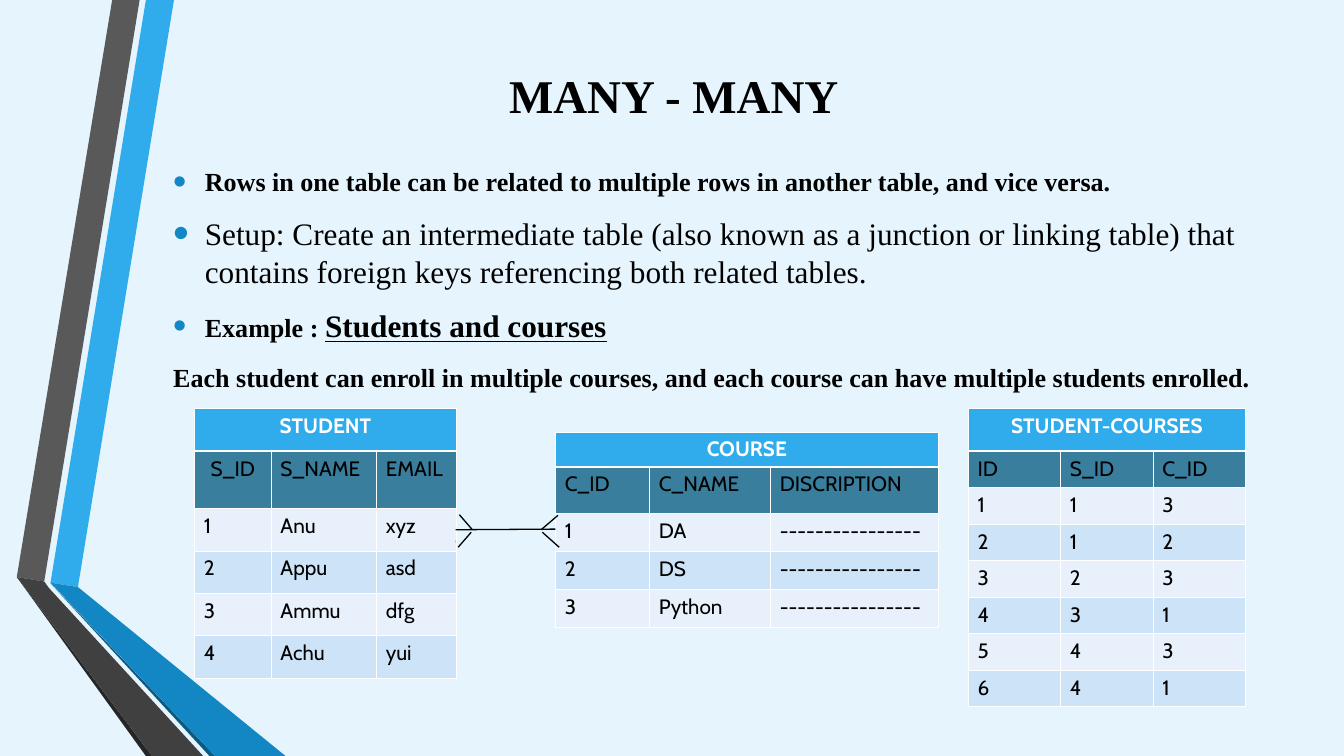
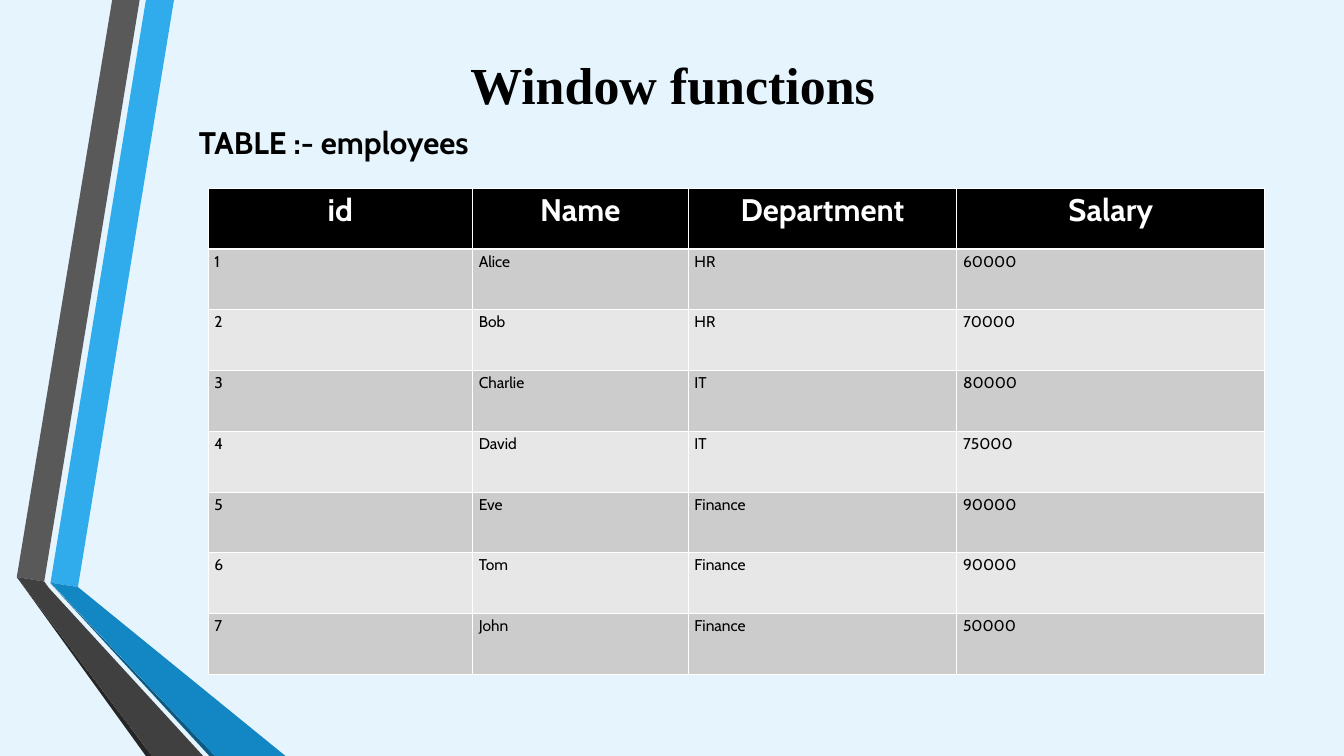
from lxml.etree import SubElement
from pptx import Presentation
from pptx.dml.color import RGBColor as RGB
from pptx.enum.shapes import MSO_CONNECTOR as CONN
from pptx.enum.text import MSO_ANCHOR as ANCHOR, PP_ALIGN as ALIGN
from pptx.oxml.ns import qn
from pptx.util import Pt

BLACK = RGB(0x00, 0x00, 0x00)
WHITE = RGB(0xFF, 0xFF, 0xFF)
PALE = RGB(0xE6, 0xF5, 0xFD)
SKY = RGB(0x30, 0xAC, 0xEC)
BLUE = RGB(0x12, 0x87, 0xC3)
NAVY = RGB(0x0C, 0x5A, 0x82)
TEAL = RGB(0x39, 0x7E, 0x9D)
ICE = RGB(0xE8, 0xF1, 0xFB)
MIST = RGB(0xCD, 0xE3, 0xF8)
TICK = RGB(0xAE, 0xD2, 0xF4)
GRAY = RGB(0x59, 0x59, 0x59)
DARK_GRAY = RGB(0x40, 0x40, 0x40)
CHARCOAL = RGB(0x26, 0x26, 0x26)
SILVER = RGB(0xCC, 0xCC, 0xCC)
LIGHT_GRAY = RGB(0xE7, 0xE7, 0xE7)

SERIF = "Times New Roman"
SANS = "Cabin"
WIDTH, HEIGHT = 1552.3, 873.4

BANDS = [
    (SKY, [(58.3, 673.2), (90, 678.2), (200.9, 0), (168.5, 0)]),
    (GRAY, [(161.3, 0), (129.6, 0), (19.4, 666.7), (51.1, 671.8)]),
    (CHARCOAL, [(19.4, 666.7), (168.5, HEIGHT), (175.7, HEIGHT)]),
    (NAVY, [(58.3, 673.9), (241.9, HEIGHT), (248.4, HEIGHT)]),
    (BLUE, [(58.3, 673.2), (248.4, HEIGHT), (329.8, HEIGHT), (90, 678.2)]),
    (DARK_GRAY, [(234.7, HEIGHT), (56.2, 679), (51.1, 671.8),
                 (19.4, 666.7), (175.7, HEIGHT)]),
]


class Deck:
    def __init__(self):
        self.prs = Presentation()
        self.prs.slide_width = Pt(WIDTH)
        self.prs.slide_height = Pt(HEIGHT)
        fill = self.prs.slide_master.background.fill
        fill.solid()
        fill.fore_color.rgb = PALE
        self.s = None

    def slide(self):
        self.s = self.prs.slides.add_slide(self.prs.slide_layouts[6])
        for color, points in BANDS:
            self.band(color, points)

    def band(self, color, points):
        start, *rest = [(Pt(x), Pt(y)) for x, y in points]
        fb = self.s.shapes.build_freeform(*start)
        fb.add_line_segments(rest, close=True)
        sp = fb.convert_to_shape()
        sp.shadow.inherit = False
        sp.fill.solid()
        sp.fill.fore_color.rgb = color
        sp.line.fill.background()

    def style(self, r, size, font, color=BLACK, bold=False, underline=False):
        r.font.size = Pt(size)
        r.font.name = font
        r.font.color.rgb = color
        r.font.bold = bold
        r.font.underline = underline

    def box(self, left, top, width, height):
        sp = self.s.shapes.add_textbox(Pt(left), Pt(top), Pt(width), Pt(height))
        tf = sp.text_frame
        tf.word_wrap = True
        return tf

    def title(self, text, size, *place):
        tf = self.box(*place)
        tf.vertical_anchor = ANCHOR.MIDDLE
        tf.text = text
        p = tf.paragraphs[0]
        p.alignment = ALIGN.CENTER
        self.style(p.runs[0], size, SERIF, bold=True)

    def label(self, text, size, *place):
        tf = self.box(*place)
        tf.text = text
        self.style(tf.paragraphs[0].runs[0], size, SANS, bold=True)

    def body(self, paragraphs, top_inset, *place):
        tf = self.box(*place)
        tf.margin_top = Pt(top_inset)
        for i, (bulleted, runs) in enumerate(paragraphs):
            p = tf.add_paragraph() if i else tf.paragraphs[0]
            p.space_after = Pt(20)
            if bulleted:
                self.bullet(p)
            for text, size, bold, underline in runs:
                r = p.add_run()
                r.text = text
                self.style(r, size, SERIF, bold=bold, underline=underline)

    def bullet(self, p):
        pPr = p._p.get_or_add_pPr()
        pPr.set("marL", str(Pt(36.5)))
        pPr.set("indent", str(-Pt(36.5)))
        color = SubElement(pPr, qn("a:buClr"))
        SubElement(color, qn("a:srgbClr"), val=str(BLUE))
        SubElement(pPr, qn("a:buSzPct"), val="145000")
        SubElement(pPr, qn("a:buFont"), typeface="Arial")
        SubElement(pPr, qn("a:buChar"), char="•")

    def line(self, x1, y1, x2, y2, color=BLACK, weight=1.5):
        cn = self.s.shapes.add_connector(
            CONN.STRAIGHT, Pt(x1), Pt(y1), Pt(x2), Pt(y2))
        cn.line.color.rgb = color
        cn.line.width = Pt(weight)
        SubElement(cn._element.spPr, qn("a:effectLst"))

    def table(self, left, top, widths, heights, rows):
        frame = self.s.shapes.add_table(
            len(rows), len(widths), Pt(left), Pt(top),
            Pt(sum(widths)), Pt(sum(heights)))
        table = frame.table
        table.first_row = table.horz_banding = False
        for column, width in zip(table.columns, widths):
            column.width = Pt(width)
        for row, height in zip(table.rows, heights):
            row.height = Pt(height)
        return table

    def cell(self, cell, text, i, fill, size, margins, header, centered):
        self.borders(cell, 3 if i == 1 else 1, 3 if i == 0 else 1)
        cell.fill.solid()
        cell.fill.fore_color.rgb = fill
        cell.margin_left = cell.margin_right = Pt(margins[0])
        cell.margin_top = cell.margin_bottom = Pt(margins[1])
        cell.text_frame.text = text
        p = cell.text_frame.paragraphs[0]
        p.alignment = ALIGN.CENTER if centered else ALIGN.LEFT
        for r in p.runs:
            self.style(r, size, SANS, WHITE if header else BLACK, header)

    def borders(self, cell, top, bottom):
        tcPr = cell._tc.get_or_add_tcPr()
        for side, weight in zip("LRTB", (1, 1, top, bottom)):
            ln = SubElement(tcPr, qn("a:ln" + side), w=str(Pt(weight)))
            fill = SubElement(ln, qn("a:solidFill"))
            SubElement(fill, qn("a:srgbClr"), val=str(WHITE))

    def entity(self, name, left, top, widths, heights, rows, centered=()):
        rows = [[name, "", ""]] + rows
        table = self.table(left, top, widths, heights, rows)
        table.cell(0, 0).merge(table.cell(0, len(widths) - 1))
        for i, row in enumerate(rows):
            fill = (SKY, TEAL)[i] if i < 2 else (ICE, MIST)[i % 2]
            for j, text in enumerate(row):
                self.cell(table.cell(i, j), text, i, fill, 24, (10.8, 5.8),
                          i == 0, i == 0 or text in centered)

    def grid(self, left, top, widths, height, rows):
        table = self.table(left, top, widths, [height] * len(rows), rows)
        for i, row in enumerate(rows):
            fill = (LIGHT_GRAY, SILVER)[i % 2] if i else BLACK
            for j, text in enumerate(row):
                self.cell(table.cell(i, j), text, i, fill, 18 if i else 36,
                          (7.2, 3.6), i == 0, i == 0)


def many_to_many(deck):
    deck.slide()
    deck.title("MANY - MANY", 54.2, 118, 52.6, 1320.5, 113.8)
    deck.body([
        (True, [("Rows in one table can be related to multiple rows in "
                 "another table, and vice versa.", 30.1, True, False)]),
        (True, [("Setup: Create an intermediate table (also known as a "
                 "junction or linking table) that contains foreign keys "
                 "referencing both related tables.", 36.1, False, False)]),
        (True, [("Example : ", 30.1, True, False),
                ("Students and courses", 36.1, True, True)]),
        (False, [("Each student can enroll in multiple courses, and each "
                  "course can have multiple students enrolled.",
                  30.1, True, False)]),
    ], 57.5, 193, 134, 1320.5, 417)

    deck.entity("STUDENT", 224.6, 472.3, [88.6, 121.7, 92.2],
                [49, 66.2] + [49] * 4, [
        ["S_ID", "S_NAME", "EMAIL"],
        ["1", "Anu", "xyz"],
        ["2", "Appu", "asd"],
        ["3", "Ammu", "dfg"],
        ["4", "Achu", "yui"],
    ], centered=("S_ID",))

    dashes = "-" * 16
    deck.entity("COURSE", 641.5, 499, [108.7, 139.7, 193.7],
                [35.3, 53.3] + [43.9] * 3, [
        ["C_ID", "C_NAME", "DISCRIPTION"],
        ["1", "DA", dashes],
        ["2", "DS", dashes],
        ["3", "Python", dashes],
    ])

    deck.entity("STUDENT-COURSES", 1118.2, 472.3, [106.8] * 3,
                [49] + [42.2] * 7, [
        ["ID", "S_ID", "C_ID"],
        ["1", "1", "3"],
        ["2", "1", "2"],
        ["3", "2", "3"],
        ["4", "3", "1"],
        ["5", "4", "3"],
        ["6", "4", "1"],
    ])

    deck.line(526.3, 623.5, 526.3, 627.1, TICK, 0.75)
    for ends in [(526.3, 612, 641.5, 611.3),
                 (625, 612, 644.4, 595.4),
                 (626.4, 614.9, 645.8, 632.2),
                 (545, 611.3, 530.6, 594.7),
                 (544.3, 614.9, 529.2, 632.2)]:
        deck.line(*ends)


def window_functions(deck):
    deck.slide()
    deck.title("Window functions", 60, 172.8, 31, 1208.2, 131.8)
    deck.grid(240.5, 217.4, [305.3, 249.1, 310.3, 355.7], 70.2, [
        ["id", "Name", "Department", "Salary"],
        ["1", "Alice", "HR", "60000"],
        ["2", "Bob", "HR", "70000"],
        ["3", "Charlie", "IT", "80000"],
        ["4", "David", "IT", "75000"],
        ["5", "Eve", "Finance", "90000"],
        ["6", "Tom", "Finance", "90000"],
        ["7", "John", "Finance", "50000"],
    ])
    deck.label("TABLE :- employees", 36, 222.5, 139, 1256.4, 51.1)


def main():
    deck = Deck()
    many_to_many(deck)
    window_functions(deck)
    deck.prs.save("out.pptx")


if __name__ == "__main__":
    main()
